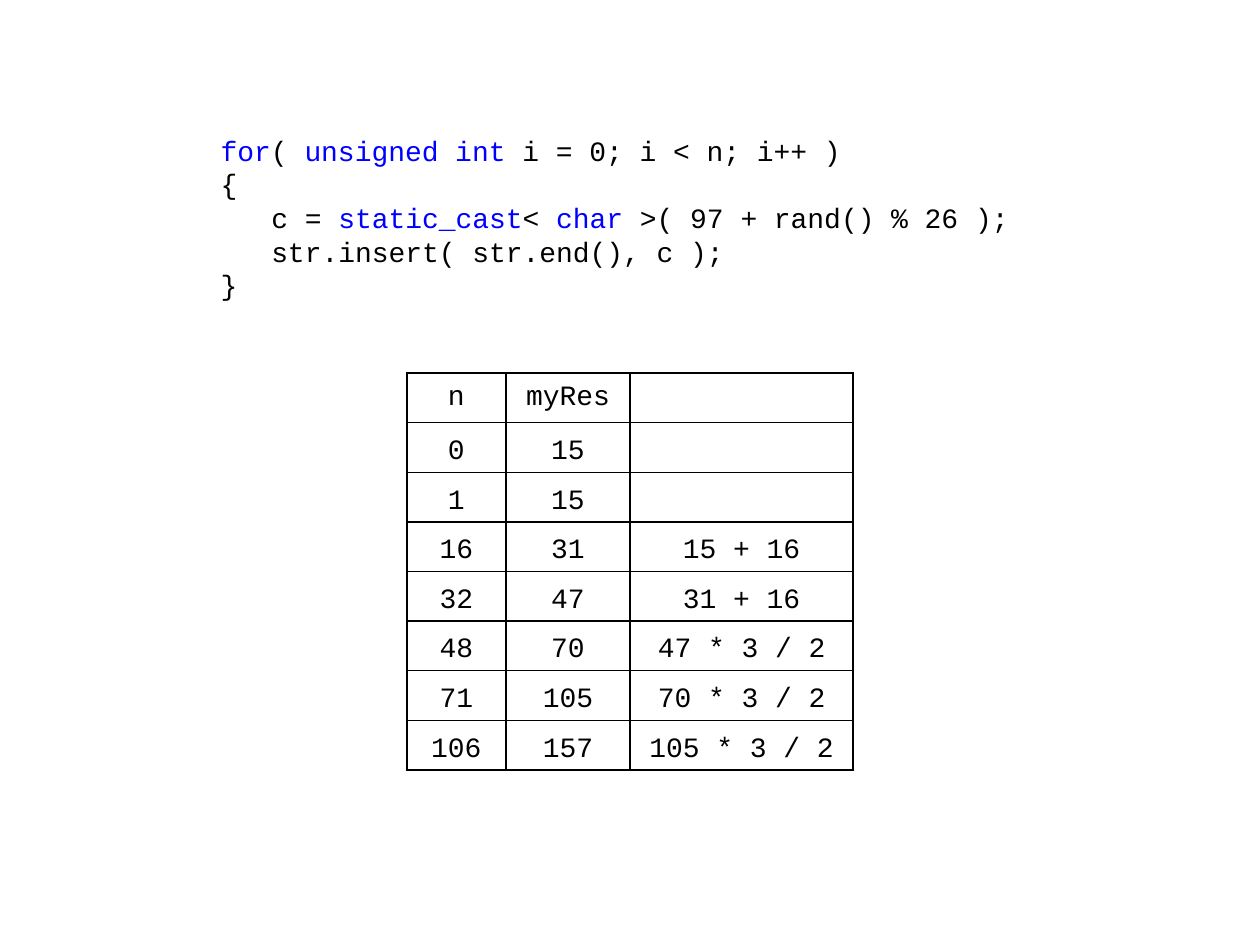
from dataclasses import dataclass

from pptx import Presentation
from pptx import util as u
from pptx.dml.color import RGBColor
from pptx.enum import text
from pptx.oxml import parse_xml
from pptx.oxml.ns import nsdecls


@dataclass(frozen=True)
class Theme:
    """Holds the colours, font and sizes of the slide."""
    ink: str = "000000"
    keyword: str = "0000FF"
    paper: str = "FFFFFF"
    font: str = "Courier New"
    size: float = 16
    leading: float = 19.2
    border: float = 1


def write(paragraph, words, *, font, size, color, align=text.PP_ALIGN.LEFT):
    """Adds one formatted run to a paragraph."""
    paragraph.alignment = align
    run = paragraph.add_run()
    run.text = words
    run.font.name = font
    run.font.size = u.Pt(size)
    run.font.color.rgb = RGBColor.from_string(color)


class Board:
    """Draws code and tables on one slide in one theme."""

    def __init__(self, slide, theme):
        self.slide = slide
        self.theme = theme
        self.type = {"font": theme.font, "size": theme.size}

    def code(self, lines, left, top, width, height, indent):
        """Adds code lines given as (depth, [(words, is_keyword), ...])."""
        frame = self.slide.shapes.add_textbox(left, top, width, height).text_frame
        frame.word_wrap = True
        frame.margin_top = u.Cm(0.19)
        for number, (depth, pieces) in enumerate(lines):
            line = frame.add_paragraph() if number else frame.paragraphs[0]
            line.line_spacing = u.Pt(self.theme.leading)
            if depth:
                line._p.get_or_add_pPr().set("marL", str(depth * indent))
            for words, is_keyword in pieces:
                color = self.theme.keyword if is_keyword else self.theme.ink
                write(line, words, color=color, **self.type)

    def table(self, rows, left, top, widths, row_height):
        """Adds a ruled table whose header is centred vertically."""
        grid = self.slide.shapes.add_table(
            len(rows), len(widths), left, top, sum(widths), row_height * len(rows)).table
        grid.first_row = grid.horz_banding = False
        for column, width in zip(grid.columns, widths):
            column.width = width
        for r, values in enumerate(rows):
            grid.rows[r].height = row_height
            for c, value in enumerate(values):
                cell = grid.cell(r, c)
                cell.vertical_anchor = text.MSO_ANCHOR.BOTTOM if r else text.MSO_ANCHOR.MIDDLE
                cell.margin_top = cell.margin_bottom = u.Cm(0.09)
                self.rule(cell)
                cell.fill.solid()
                cell.fill.fore_color.rgb = RGBColor.from_string(self.theme.paper)
                if value:
                    write(cell.text_frame.paragraphs[0], value, color=self.theme.ink,
                          align=text.PP_ALIGN.CENTER, **self.type)

    def rule(self, cell):
        """Draws the four borders of a cell."""
        properties = cell._tc.get_or_add_tcPr()
        for side in ("lnL", "lnR", "lnT", "lnB"):
            properties.append(parse_xml(
                f'<a:{side} {nsdecls("a")} w="{u.Pt(self.theme.border)}"><a:solidFill>'
                f'<a:srgbClr val="{self.theme.ink}"/></a:solidFill></a:{side}>'))


LOOP = [
    (0, [("for", True), ("( ", False), ("unsigned int", True),
         (" i = 0; i < n; i++ )", False)]),
    (0, [("{", False)]),
    (1, [("c = ", False), ("static_cast", True), ("< ", False), ("char", True),
         (" >( 97 + rand() % 26 );", False)]),
    (1, [("str.insert( str.end(), c );", False)]),
    (0, [("}", False)]),
]

GROWTH = [
    ("n", "myRes", ""),
    ("0", "15", ""),
    ("1", "15", ""),
    ("16", "31", "15 + 16"),
    ("32", "47", "31 + 16"),
    ("48", "70", "47 * 3 / 2"),
    ("71", "105", "70 * 3 / 2"),
    ("106", "157", "105 * 3 / 2"),
]


def main():
    """Builds the slide and saves it."""
    deck = Presentation()
    deck.slide_width, deck.slide_height = u.Cm(25.4), u.Cm(19.05)
    board = Board(deck.slides.add_slide(deck.slide_layouts[6]), Theme())
    board.table(GROWTH, u.Cm(8.2), u.Cm(7.52), [u.Cm(2), u.Cm(2.5), u.Cm(4.5)], u.Cm(1))
    board.code(LOOP, u.Cm(4.2), u.Cm(2.5), u.Cm(17), u.Cm(3.5), indent=u.Cm(1.02))
    deck.save("out.pptx")


if __name__ == "__main__":
    main()
